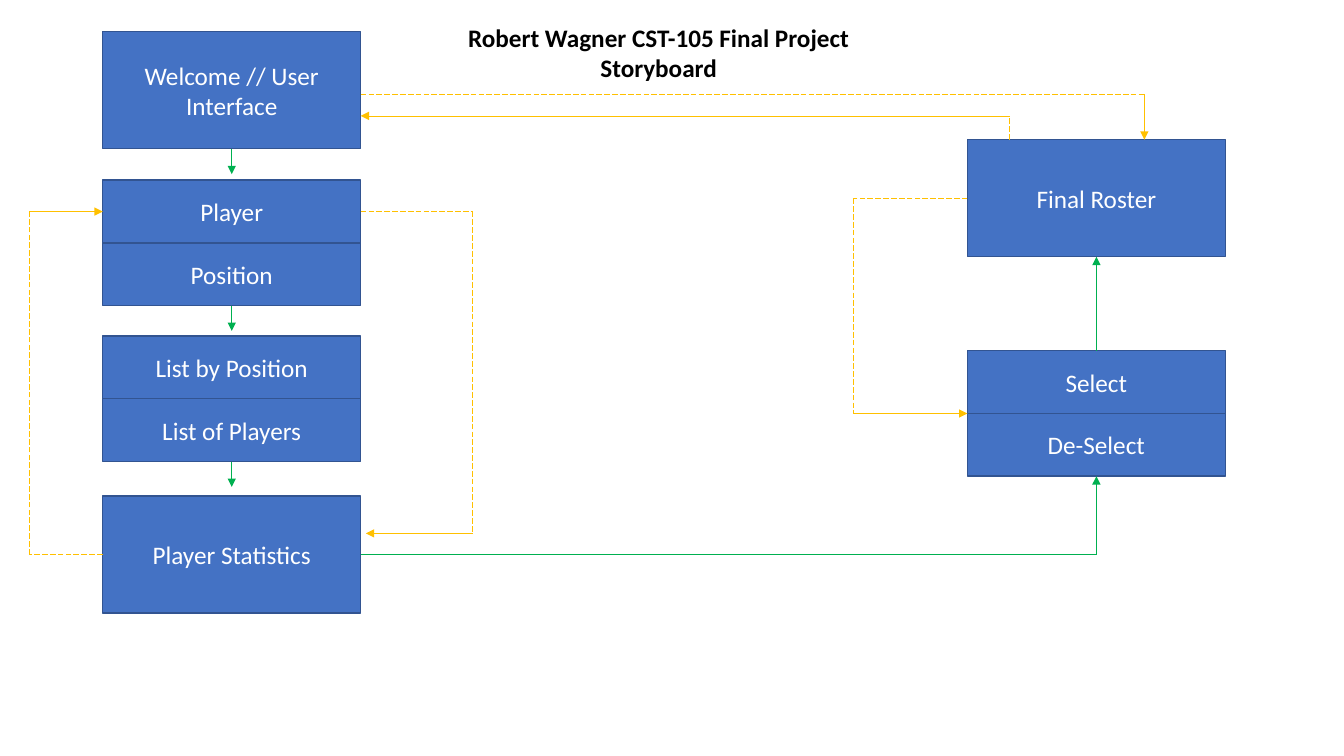
from itertools import pairwise

from lxml.etree import SubElement
from pptx import Presentation
from pptx.dml.color import RGBColor
from pptx.enum.dml import MSO_LINE
from pptx.enum.shapes import MSO_CONNECTOR, MSO_SHAPE
from pptx.enum.text import MSO_ANCHOR, PP_ALIGN
from pptx.oxml.ns import qn
from pptx.util import Cm, Pt

BLUE = RGBColor(0x44, 0x72, 0xC4)
BORDER = RGBColor(0x32, 0x54, 0x91)
GREEN = RGBColor(0x00, 0xB0, 0x50)
YELLOW = RGBColor(0xFF, 0xC0, 0x00)
WHITE = RGBColor(0xFF, 0xFF, 0xFF)
BLACK = RGBColor(0x00, 0x00, 0x00)

# Content: each screen has a column edge, a top and one or two stacked labels (cm)
TITLE = "Robert Wagner CST-105 Final Project Storyboard"
LEFT, RIGHT = 2.59, 24.38
WIDTH, SINGLE_HEIGHT, STACKED_HEIGHT = 6.5, 2.95, 1.58
SCREENS = {
    "welcome": (LEFT, 0.8, ["Welcome // User Interface"]),
    "player": (LEFT, 4.54, ["Player", "Position"]),
    "lists": (LEFT, 8.47, ["List by Position", "List of Players"]),
    "statistics": (LEFT, 12.5, ["Player Statistics"]),
    "roster": (RIGHT, 3.52, ["Final Roster"]),
    "selection": (RIGHT, 8.84, ["Select", "De-Select"]),
}


def row_height(labels):
    return SINGLE_HEIGHT if len(labels) == 1 else STACKED_HEIGHT


def top(name):
    return SCREENS[name][1]


def bottom(name):
    labels = SCREENS[name][2]
    return top(name) + row_height(labels) * len(labels)


def middle(name):
    return (top(name) + bottom(name)) / 2


# Routes: corner points from start to arrowhead
LEFT_EDGE = LEFT + WIDTH
LEFT_CENTER, RIGHT_CENTER = LEFT + WIDTH / 2, RIGHT + WIDTH / 2
DOWN_ARROW = 0.64
OUTER_LANE, INNER_LANE, ROSTER_LANE = 0.74, 11.91, 21.5
PLAYER_Y, STATISTICS_Y = 5.33, 13.44
OUT_Y, BACK_Y, OUT_X, BACK_X = 2.38, 2.92, 28.84, 25.43

forward_routes = [
    [(LEFT_CENTER, bottom(name)), (LEFT_CENTER, bottom(name) + DOWN_ARROW)]
    for name in ("welcome", "player", "lists")
] + [
    [(LEFT_EDGE, middle("statistics")), (RIGHT_CENTER, middle("statistics")),
     (RIGHT_CENTER, bottom("selection"))],
    [(RIGHT_CENTER, top("selection")), (RIGHT_CENTER, bottom("roster"))],
]
optional_routes = [
    [(LEFT_EDGE, PLAYER_Y), (INNER_LANE, PLAYER_Y),
     (INNER_LANE, STATISTICS_Y), (9.22, STATISTICS_Y)],
    [(LEFT, middle("statistics")), (OUTER_LANE, middle("statistics")),
     (OUTER_LANE, PLAYER_Y), (LEFT, PLAYER_Y)],
    [(RIGHT, middle("roster")), (ROSTER_LANE, middle("roster")),
     (ROSTER_LANE, middle("selection")), (RIGHT, middle("selection"))],
    [(BACK_X, top("roster")), (BACK_X, BACK_Y), (LEFT_EDGE, BACK_Y)],
    [(LEFT_EDGE, OUT_Y), (OUT_X, OUT_Y), (OUT_X, top("roster"))],
]


def format_text(shape, text, color, bold=False):
    frame = shape.text_frame
    frame.text = text
    frame.word_wrap = True
    paragraph = frame.paragraphs[0]
    paragraph.alignment = PP_ALIGN.CENTER
    font = paragraph.runs[0].font
    font.name, font.size, font.bold = "Calibri", Pt(18), bold
    font.color.rgb = color
    return frame


def add_screen(slide, left, first_top, labels):
    """Draw one box, or a group of stacked boxes."""
    shapes = slide.shapes
    if len(labels) > 1:
        shapes = shapes.add_group_shape().shapes
    height = row_height(labels)
    for row, label in enumerate(labels):
        box = shapes.add_shape(MSO_SHAPE.RECTANGLE, Cm(left), Cm(first_top + row * height),
                               Cm(WIDTH), Cm(height))
        box.shadow.inherit = False
        box.fill.solid()
        box.fill.fore_color.rgb = BLUE
        box.line.color.rgb = BORDER
        box.line.width = Pt(1)
        format_text(box, label, WHITE).vertical_anchor = MSO_ANCHOR.MIDDLE


def add_route(slide, points, color, dashed):
    """Draw the segments of a route; the last one is solid with an arrowhead."""
    segments = list(pairwise(points))
    for number, (start, end) in enumerate(segments, 1):
        connector = slide.shapes.add_connector(
            MSO_CONNECTOR.STRAIGHT, *(Cm(value) for value in start + end))
        connector.line.color.rgb = color
        connector.line.width = Pt(0.5)
        if number == len(segments):
            SubElement(connector.line._get_or_add_ln(), qn("a:tailEnd"), type="triangle")
        elif dashed:
            connector.line.dash_style = MSO_LINE.LONG_DASH
        SubElement(connector._element.spPr, qn("a:effectLst"))


presentation = Presentation()
presentation.slide_width, presentation.slide_height = Cm(33.87), Cm(19.05)
slide = presentation.slides.add_slide(presentation.slide_layouts[5])

# Title
title = slide.shapes.title
title.left, title.top, title.width, title.height = Cm(10.87), Cm(0.43), Cm(11.46), Cm(1.8)
format_text(title, TITLE, BLACK, bold=True).vertical_anchor = MSO_ANCHOR.TOP

# Screens
for screen in SCREENS.values():
    add_screen(slide, *screen)

# Forward steps in green, optional jumps in yellow
for route in forward_routes:
    add_route(slide, route, GREEN, dashed=False)
for route in optional_routes:
    add_route(slide, route, YELLOW, dashed=True)

presentation.save("out.pptx")
